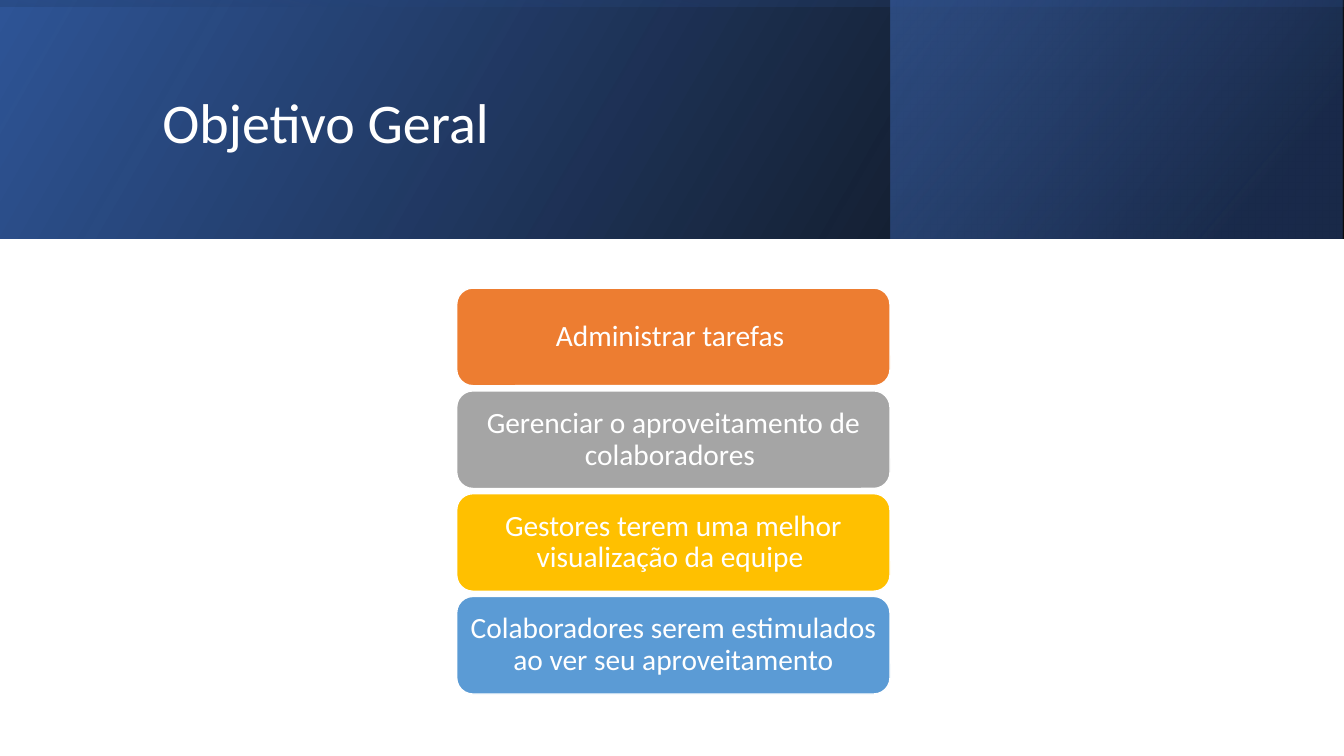
from dataclasses import dataclass

from lxml import etree
from pptx import Presentation
from pptx.dml.color import RGBColor
from pptx.enum.shapes import MSO_SHAPE
from pptx.enum.text import MSO_ANCHOR, PP_ALIGN
from pptx.oxml.ns import qn
from pptx.shapes.autoshape import Shape
from pptx.slide import Slide
from pptx.text.text import TextFrame
from pptx.util import Cm, Pt

RECTANGLE = MSO_SHAPE.RECTANGLE
ROUNDED = MSO_SHAPE.ROUNDED_RECTANGLE
MIDDLE = MSO_ANCHOR.MIDDLE
LEFT = PP_ALIGN.LEFT
CENTER = PP_ALIGN.CENTER

FONT = "Calibri"
WHITE = "FFFFFF"
SLIDE_WIDTH, SLIDE_HEIGHT = 33.87, 19.05
BANNER_HEIGHT = 6.02
GOAL_LEFT, GOAL_TOP = 11.51, 7.26
GOAL_WIDTH, GOAL_HEIGHT = 10.92, 2.46
GOAL_PITCH = 2.59


@dataclass(frozen=True)
class Stop:
    position: float
    color: str
    opacity: int


@dataclass(frozen=True)
class BannerLayer:
    left: float
    top: float
    width: float
    height: float
    angle: int
    stops: tuple[Stop, Stop]
    rotation: int = 0


@dataclass(frozen=True)
class Goal:
    text: str
    color: str


OVERLAY_OFFSET = (SLIDE_WIDTH - BANNER_HEIGHT) / 2

BANNER_LAYERS = (
    BannerLayer(0, 0, SLIDE_WIDTH, BANNER_HEIGHT, 30,
                (Stop(0, "000000", 96), Stop(1, "2F5597", 100))),
    BannerLayer(22.45, 0, 11.39, BANNER_HEIGHT, 40,
                (Stop(0.19, "203864", 68), Stop(1, "4472C4", 48))),
    BannerLayer(OVERLAY_OFFSET, -OVERLAY_OFFSET, BANNER_HEIGHT, SLIDE_WIDTH, 10,
                (Stop(0.23, "2F5597", 16), Stop(0.99, "000000", 45)), 270),
)

GOALS = (
    Goal("Administrar tarefas ", "ED7D31"),
    Goal("Gerenciar o aproveitamento de colaboradores ", "A5A5A5"),
    Goal("Gestores terem uma melhor visualização da equipe ", "FFC000"),
    Goal("Colaboradores serem estimulados ao ver seu aproveitamento", "5B9BD5"),
)


def rgb(color: str) -> RGBColor:
    return RGBColor.from_string(color)


def write_text(frame: TextFrame, text: str, size: float, alignment: PP_ALIGN) -> None:
    frame.word_wrap = True
    frame.vertical_anchor = MIDDLE
    paragraph = frame.paragraphs[0]
    paragraph.alignment = alignment
    paragraph.line_spacing = 0.9
    run = paragraph.add_run()
    run.text = text
    run.font.name = FONT
    run.font.size = Pt(size)
    run.font.color.rgb = rgb(WHITE)


def fill_gradient(shape: Shape, layer: BannerLayer) -> None:
    shape.fill.gradient()
    shape.fill.gradient_angle = layer.angle
    for gradient_stop, stop in zip(shape.fill.gradient_stops, layer.stops):
        gradient_stop.position = stop.position
        gradient_stop.color.rgb = rgb(stop.color)
    colors = shape.element.spPr.iter(qn("a:srgbClr"))
    for color, stop in zip(colors, layer.stops):
        alpha = etree.SubElement(color, qn("a:alpha"))
        alpha.set("val", str(stop.opacity * 1000))


def add_banner_layer(slide: Slide, layer: BannerLayer) -> None:
    shape = slide.shapes.add_shape(
        RECTANGLE, Cm(layer.left), Cm(layer.top), Cm(layer.width), Cm(layer.height))
    shape.shadow.inherit = False
    shape.rotation = layer.rotation
    shape.element.spPr.find(qn("a:xfrm")).set("flipH", "1")
    shape.line.fill.background()
    fill_gradient(shape, layer)


def add_title(slide: Slide, text: str) -> None:
    title = slide.shapes.add_textbox(Cm(3.84), Cm(0.97), Cm(27), Cm(4.37))
    write_text(title.text_frame, text, 40, LEFT)


def add_goal(slide: Slide, goal: Goal, top: float) -> None:
    shape = slide.shapes.add_shape(
        ROUNDED, Cm(GOAL_LEFT), Cm(top), Cm(GOAL_WIDTH), Cm(GOAL_HEIGHT))
    shape.shadow.inherit = False
    shape.fill.solid()
    shape.fill.fore_color.rgb = rgb(goal.color)
    shape.line.color.rgb = rgb(WHITE)
    shape.line.width = Pt(1)
    frame = shape.text_frame
    frame.margin_left = frame.margin_right = Cm(0.23)
    frame.margin_top = frame.margin_bottom = Cm(0.11)
    write_text(frame, goal.text, 21, CENTER)


def main() -> None:
    presentation = Presentation()
    presentation.slide_width = Cm(SLIDE_WIDTH)
    presentation.slide_height = Cm(SLIDE_HEIGHT)
    slide = presentation.slides.add_slide(presentation.slide_layouts[6])
    for layer in BANNER_LAYERS:
        add_banner_layer(slide, layer)
    add_title(slide, "Objetivo Geral")
    for index, goal in enumerate(GOALS):
        add_goal(slide, goal, GOAL_TOP + index * GOAL_PITCH)
    presentation.save("out.pptx")


if __name__ == "__main__":
    main()
